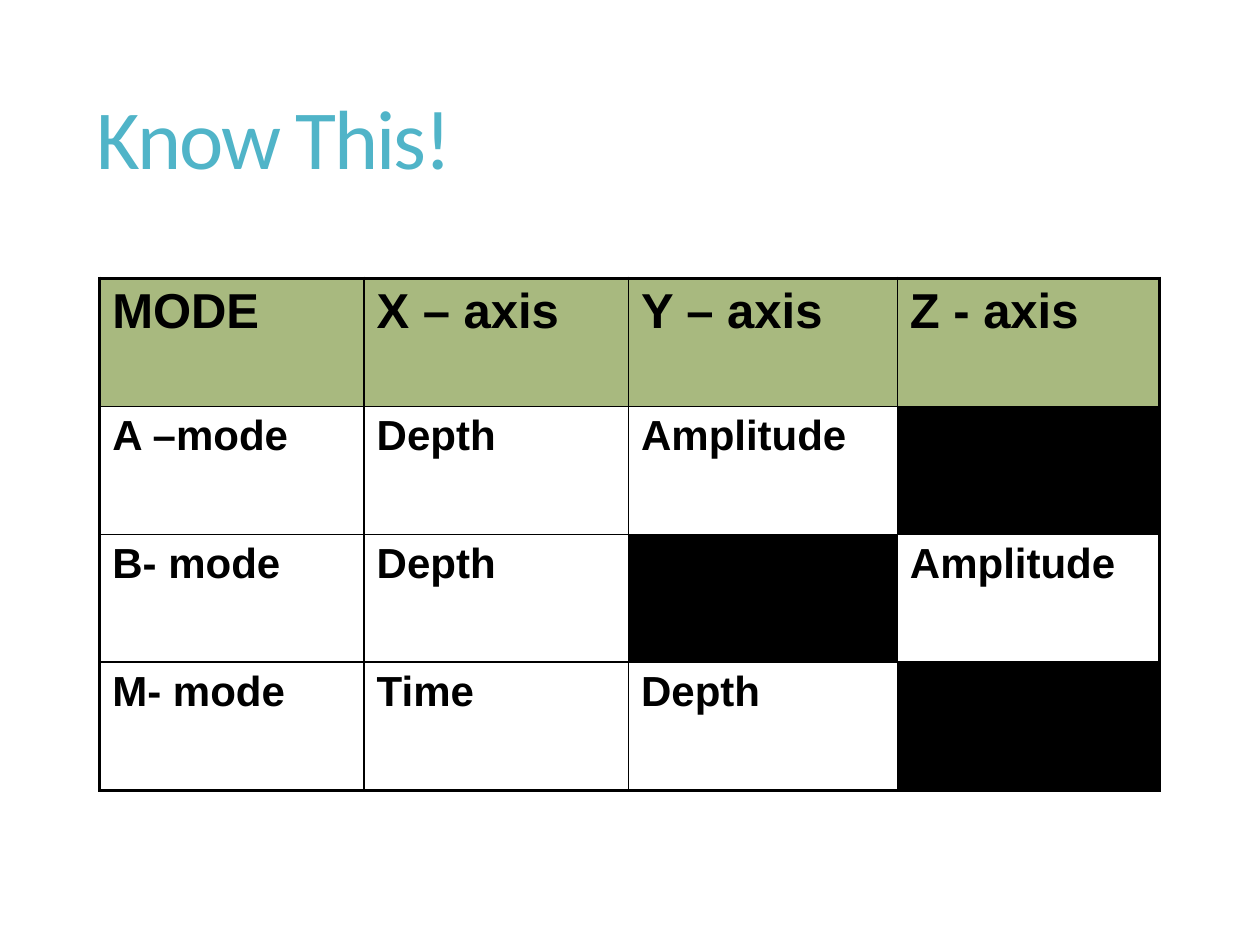
from lxml import etree
from pptx import Presentation
from pptx.dml.color import RGBColor
from pptx.enum.text import MSO_ANCHOR, PP_ALIGN
from pptx.oxml.ns import qn
from pptx.util import Cm, Pt

MIDDLE = MSO_ANCHOR.MIDDLE
LEFT = PP_ALIGN.LEFT
TITLE_ONLY = 5

BLACK = "000000"
WHITE = "FFFFFF"
GREEN = "A8B97F"
TEAL = "50B4C8"

MODES = [
    ["MODE", "X – axis", "Y – axis", "Z - axis"],
    ["A –mode", "Depth", "Amplitude", ""],
    ["B- mode", "Depth", "", "Amplitude"],
    ["M- mode", "Time", "Depth", ""],
]
COLUMN_WIDTHS = [5.33, 5.33, 5.42, 5.28]
ROW_HEIGHT = 2.58
OUTER_LINE = 2.25
INNER_LINE = 1


def color(hex_code):
    return RGBColor.from_string(hex_code)


def add_title(slide, text):
    title = slide.shapes.title
    title.left, title.top = Cm(1.7), Cm(1.27)
    title.width, title.height = Cm(22.02), Cm(3.18)
    frame = title.text_frame
    frame.text = text
    frame.vertical_anchor = MIDDLE
    heading = frame.paragraphs[0]
    heading.alignment = LEFT
    heading.line_spacing = 0.9
    run = heading.runs[0]
    run.font.name = "Calibri"
    run.font.size = Pt(48)
    run.font.color.rgb = color(TEAL)
    run.font._element.set("spc", "-120")


def set_border(cell, side, points):
    properties = cell._tc.get_or_add_tcPr()
    line = etree.SubElement(properties, qn(f"a:ln{side}"), w=str(Pt(points)))
    fill = etree.SubElement(line, qn("a:solidFill"))
    etree.SubElement(fill, qn("a:srgbClr"), val=BLACK)


def format_cell(cell, text, is_header, edges):
    for side, is_outer in edges.items():
        set_border(cell, side, OUTER_LINE if is_outer else INNER_LINE)
    cell.fill.solid()
    body_fill = WHITE if text else BLACK
    cell.fill.fore_color.rgb = color(GREEN if is_header else body_fill)
    cell.text = text
    font = cell.text_frame.paragraphs[0].font
    font.name = "Arial"
    font.size = Pt(28 if is_header else 24)
    font.bold = True
    font.color.rgb = color(BLACK)


def add_mode_table(slide):
    row_count, column_count = len(MODES), len(COLUMN_WIDTHS)
    table = slide.shapes.add_table(
        row_count, column_count, Cm(2.01), Cm(5.61),
        Cm(sum(COLUMN_WIDTHS)), Cm(ROW_HEIGHT * row_count),
    ).table
    for column, width in zip(table.columns, COLUMN_WIDTHS):
        column.width = Cm(width)
    for row_index, labels in enumerate(MODES):
        table.rows[row_index].height = Cm(ROW_HEIGHT)
        for column_index, label in enumerate(labels):
            edges = {
                "L": column_index == 0,
                "R": column_index == column_count - 1,
                "T": row_index == 0,
                "B": row_index == row_count - 1,
            }
            cell = table.cell(row_index, column_index)
            format_cell(cell, label, row_index == 0, edges)


def main():
    presentation = Presentation()
    presentation.slide_width = Cm(25.4)
    presentation.slide_height = Cm(19.05)
    slide = presentation.slides.add_slide(presentation.slide_layouts[TITLE_ONLY])
    add_title(slide, "Know This!")
    add_mode_table(slide)
    presentation.save("out.pptx")


if __name__ == "__main__":
    main()
